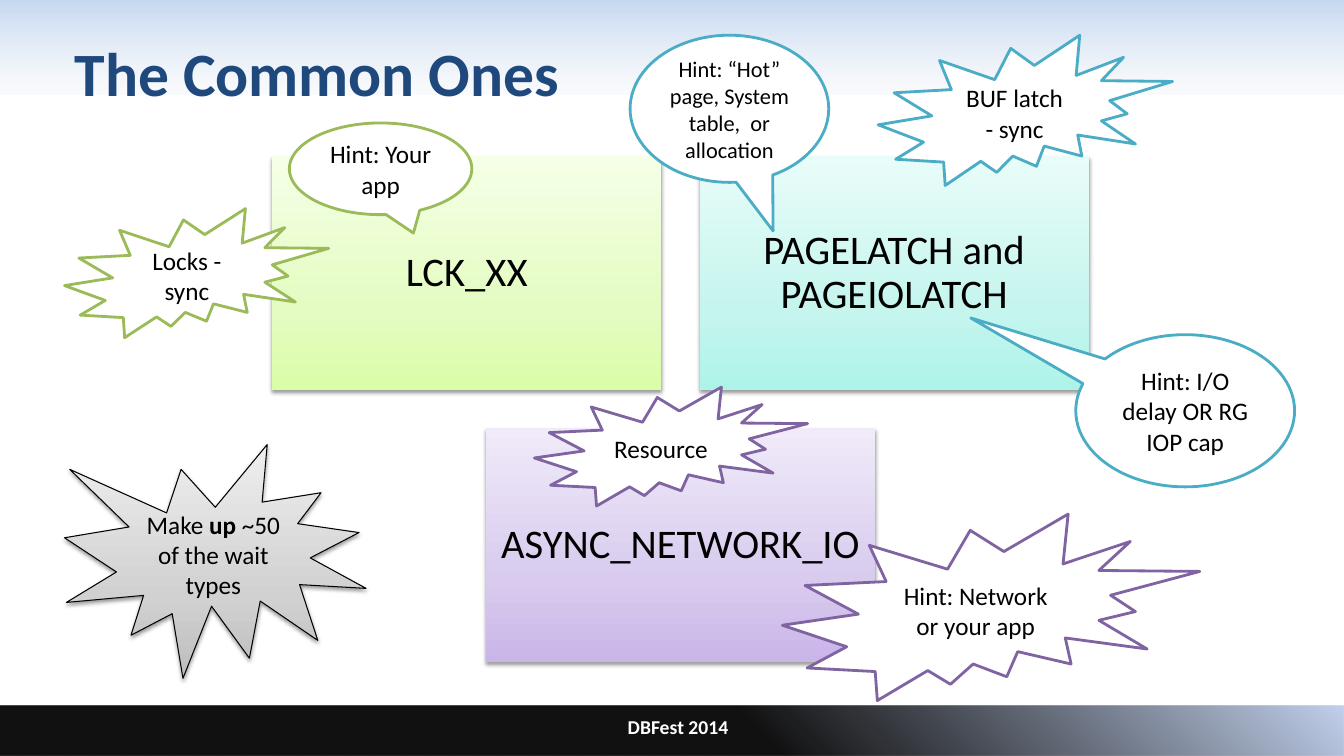
from dataclasses import dataclass

from lxml import etree
from pptx import Presentation
from pptx.dml.color import RGBColor
from pptx.enum.shapes import MSO_SHAPE
from pptx.enum.text import MSO_ANCHOR, PP_ALIGN
from pptx.oxml.ns import qn
from pptx.util import Inches, Pt

RECT = MSO_SHAPE.RECTANGLE
BURST = MSO_SHAPE.EXPLOSION1
SEAL = MSO_SHAPE.EXPLOSION2
BALLOON = MSO_SHAPE.OVAL_CALLOUT
LEFT, CENTER = PP_ALIGN.LEFT, PP_ALIGN.CENTER
MIDDLE = MSO_ANCHOR.MIDDLE
TITLE_ONLY = 5


@dataclass(frozen=True)
class Theme:
    font: str = "Calibri"
    title_size: float = 44
    card_size: float = 29
    note_size: float = 18
    small_note_size: float = 16
    footer_size: float = 14
    title: str = "1F497D"
    text: str = "000000"
    white: str = "FFFFFF"
    green: str = "9BBB59"
    aqua: str = "4BACC6"
    purple: str = "8064A2"
    # Gradient stops: position, colour, opacity (all in percent)
    header_band: tuple = ((0, "C6D9F1", 100), (100, "E1E8F5", 16))
    footer_band: tuple = ((56, "000000", 93), (100, "C2D1ED", 100))
    green_fade: tuple = ((0, "DAFDA7", 100), (35, "E4FCC2", 100), (100, "F5FFE7", 100))
    aqua_fade: tuple = ((0, "AEF3E9", 100), (35, "C6F5EE", 100), (100, "E8FCF9", 100))
    purple_fade: tuple = ((0, "C9B5E8", 100), (35, "D8CBEE", 100), (100, "F0EAF9", 100))
    grey_fade: tuple = ((0, "BDBDBD", 100), (35, "D1D1D1", 100), (100, "EEEEEE", 100))


THEME = Theme()


def add_color(parent, color, opacity):
    node = etree.SubElement(parent, qn("a:srgbClr"), val=color)
    etree.SubElement(node, qn("a:alpha"), val=str(opacity * 1000))


def fill_gradient(shape, stops, angle):
    """Fill with stops running along angle, counted anticlockwise from the right."""
    shape.fill.gradient()
    shape.fill.gradient_angle = angle
    stop_list = shape._element.spPr.find(qn("a:gradFill")).find(qn("a:gsLst"))
    for old_stop in list(stop_list):
        stop_list.remove(old_stop)
    for position, color, opacity in stops:
        stop = etree.SubElement(stop_list, qn("a:gs"), pos=str(position * 1000))
        add_color(stop, color, opacity)


def add_soft_shadow(shape):
    effects = shape._element.spPr.find(qn("a:effectLst"))
    shadow = etree.SubElement(effects, qn("a:outerShdw"), blurRad=str(Pt(3.1)),
                              dist=str(Pt(1.6)), dir="5400000", rotWithShape="0")
    add_color(shadow, THEME.text, 38)


def write(shape, runs, size, color=THEME.text, bold=False, align=CENTER):
    """Write runs, a list of texts; a (text,) tuple marks a bold one."""
    frame = shape.text_frame
    frame.word_wrap = True
    frame.vertical_anchor = MIDDLE
    paragraph = frame.paragraphs[0]
    paragraph.alignment = align
    for part in runs:
        stressed = isinstance(part, tuple)
        run = paragraph.add_run()
        run.text = part[0] if stressed else part
        run.font.name = THEME.font
        run.font.size = Pt(size)
        run.font.bold = bold or stressed
        run.font.color.rgb = RGBColor.from_string(color)


def add_plain_shape(slide, kind, box):
    shape = slide.shapes.add_shape(kind, *map(Inches, box))
    shape.shadow.inherit = False
    shape.line.fill.background()
    return shape


def set_outline(shape, color, width):
    shape.line.color.rgb = RGBColor.from_string(color)
    shape.line.width = Pt(width)


def add_band(slide, box, stops, angle):
    fill_gradient(add_plain_shape(slide, RECT, box), stops, angle)


def add_title(slide, text):
    title = slide.shapes.title
    slide.shapes._spTree.append(title._element)  # in front of the bands
    title.left, title.top, title.width, title.height = map(Inches, (0.64, 0.09, 12, 1.25))
    write(title, [text], THEME.title_size, THEME.title, bold=True, align=LEFT)


def add_footer(slide, text):
    footer = slide.shapes.add_textbox(*map(Inches, (3.78, 7, 5.89, 0.42)))
    write(footer, [text], THEME.footer_size, THEME.white, bold=True)


def add_card(slide, left, top, wait_type, fade):
    card = add_plain_shape(slide, RECT, (left, top, 3.86, 2.32))
    fill_gradient(card, fade, 90)
    add_soft_shadow(card)
    frame = card.text_frame
    frame.margin_left = frame.margin_right = Inches(0.12)
    frame.margin_top = frame.margin_bottom = Inches(0.12)
    write(card, [wait_type], THEME.card_size)
    frame.paragraphs[0].line_spacing = 0.9


def add_note(slide, kind, box, text, color, size=THEME.note_size, tail=()):
    note = add_plain_shape(slide, kind, box)
    note.fill.solid()
    note.fill.fore_color.rgb = RGBColor.from_string(THEME.white)
    set_outline(note, color, 2)
    for index, offset in enumerate(tail):
        note.adjustments[index] = offset
    write(note, [text], size)


def add_summary_burst(slide, box, runs):
    burst = add_plain_shape(slide, BURST, box)
    fill_gradient(burst, THEME.grey_fade, 90)
    set_outline(burst, THEME.text, 0.75)
    add_soft_shadow(burst)
    write(burst, runs, THEME.note_size)


def main():
    deck = Presentation()
    deck.slide_width, deck.slide_height = Inches(13.33), Inches(7.5)
    slide = deck.slides.add_slide(deck.slide_layouts[TITLE_ONLY])

    add_band(slide, (0, 0, 13.33, 0.94), THEME.header_band, 270)
    add_band(slide, (0, 7, 13.33, 0.5), THEME.footer_band, 45)
    add_title(slide, "The Common Ones")
    add_footer(slide, "DBFest 2014")

    first_left, first_top, column_step, row_step = 2.7, 1.55, 4.24, 2.7
    cards = [
        (0, 0, "LCK_XX", THEME.green_fade),
        (1, 0, "PAGELATCH and PAGEIOLATCH", THEME.aqua_fade),
        (0.5, 1, "ASYNC_NETWORK_IO", THEME.purple_fade),
    ]
    for column, row, wait_type, fade in cards:
        add_card(slide, first_left + column * column_step,
                 first_top + row * row_step, wait_type, fade)

    add_note(slide, SEAL, (0.64, 2.07, 2.62, 1.28), "Locks - sync", THEME.green)
    add_note(slide, SEAL, (8.71, 0.35, 2.92, 1.49), "BUF latch - sync", THEME.aqua)
    add_note(slide, SEAL, (7.76, 5.1, 4.14, 1.85), "Hint: Network or your app", THEME.purple)
    add_note(slide, BALLOON, (10.67, 3.32, 2.17, 1.51), "Hint: I/O delay OR RG IOP cap",
             THEME.aqua, tail=(-0.98, -0.61))
    add_note(slide, BALLOON, (2.87, 1.22, 1.81, 0.91), "Hint: Your app",
             THEME.green, tail=(0.18, 0.7))
    add_summary_burst(slide, (0.64, 4.41, 2.99, 2.32),
                      ["Make ", ("up",), " ~50 of the wait types"])
    add_note(slide, SEAL, (5.3, 3.84, 2.71, 1.18), "Resource", THEME.purple)
    add_note(slide, BALLOON, (6.25, 0.35, 1.97, 1.46),
             "Hint: “Hot” page, System table,  or allocation",
             THEME.aqua, THEME.small_note_size, tail=(0.22, 0.83))

    deck.save("out.pptx")


if __name__ == "__main__":
    main()
